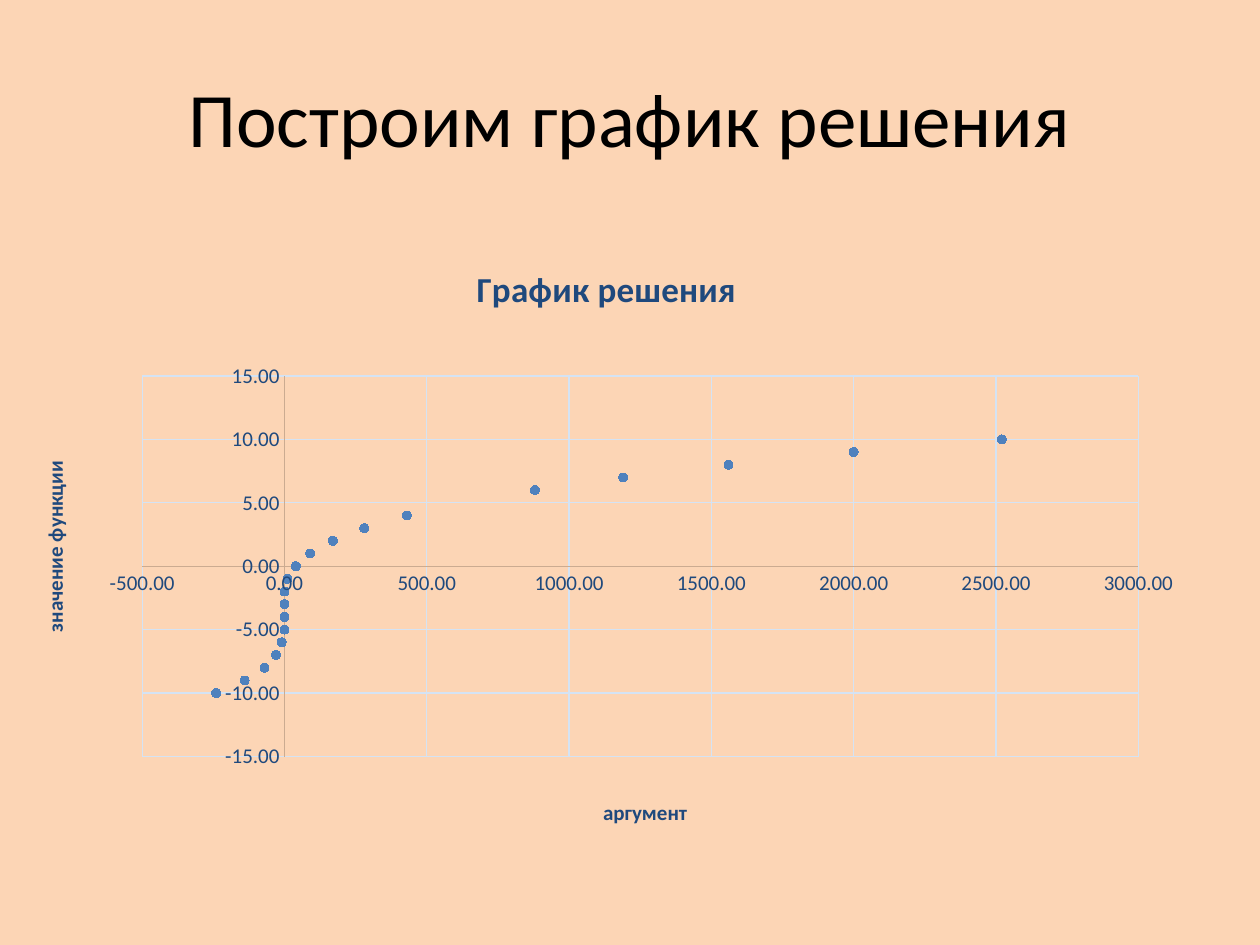
from lxml import etree
from pptx import Presentation
from pptx.chart.data import XyChartData
from pptx.dml.color import RGBColor
from pptx.enum.chart import XL_CHART_TYPE, XL_MARKER_STYLE, XL_TICK_MARK
from pptx.enum.text import MSO_ANCHOR, PP_ALIGN
from pptx.oxml.ns import qn
from pptx.util import Emu, Pt

PIXEL = 914400 // 126
FONT = "Calibri"
PEACH = RGBColor(0xFC, 0xD5, 0xB5)
BLACK = RGBColor(0, 0, 0)
NAVY = RGBColor(0x1F, 0x49, 0x7D)
BLUE = RGBColor(0x4F, 0x81, 0xBD)
PALE_BLUE = RGBColor(0xD4, 0xE3, 0xF4)
TAN = RGBColor(0xCB, 0xAB, 0x91)
SCATTER = XL_CHART_TYPE.XY_SCATTER
CIRCLE = XL_MARKER_STYLE.CIRCLE
NO_TICK = XL_TICK_MARK.NONE
CENTER = PP_ALIGN.CENTER
MIDDLE = MSO_ANCHOR.MIDDLE

CHART_BOX = (25, 220, 1172, 624)
POINTS = [
    (0, -5), (0, -2), (0, -4), (10, -1), (40, 0), (90, 1), (170, 2),
    (280, 3), (430, 4), (0, -3), (-10, -6), (880, 6), (-30, -7),
    (1190, 7), (1560, 8), (-70, -8), (2000, 9), (-140, -9),
    (2520, 10), (-240, -10),
]


def pixels(*lengths):
    """Turn pixel lengths into EMU."""
    return [Emu(length * PIXEL) for length in lengths]


def style_font(font, size, color, bold=False):
    """Set typeface, size, colour and weight."""
    font.name = FONT
    font.size = Pt(size)
    font.bold = bold
    font.color.rgb = color


def add_run(paragraph, text, size, color, bold=False):
    """Add one styled run."""
    run = paragraph.add_run()
    run.text = text
    style_font(run.font, size, color, bold)


def add_heading(slide, box, text):
    """Add the centred slide heading."""
    frame = slide.shapes.add_textbox(*pixels(*box)).text_frame
    frame.word_wrap = True
    frame.vertical_anchor = MIDDLE
    paragraph = frame.paragraphs[0]
    paragraph.alignment = CENTER
    add_run(paragraph, text, 44, BLACK)


def set_layout(parent, index, inner=False, **fractions):
    """Place a chart part by fractions of the chart area."""
    for old in parent.findall(qn("c:layout")):
        parent.remove(old)
    layout = etree.Element(qn("c:layout"))
    manual = etree.SubElement(layout, qn("c:manualLayout"))
    if inner:
        etree.SubElement(manual, qn("c:layoutTarget")).set("val", "inner")
    for side in ("x", "y"):
        etree.SubElement(manual, qn(f"c:{side}Mode")).set("val", "edge")
    for name, value in fractions.items():
        etree.SubElement(manual, qn(f"c:{name}")).set("val", str(value))
    parent.insert(index, layout)


def add_chart_title(title, text, size, x, y, rotation=0):
    """Write and place a chart or axis title."""
    add_run(title.text_frame.paragraphs[0], text, size, NAVY, True)
    body = next(title.element.iter(qn("a:bodyPr")))
    body.set("rot", str(rotation * 60000))
    body.set("vert", "horz")
    set_layout(title.element, 1, x=x, y=y)


def style_axis(axis, low, high, step):
    """Set the scale, lines and labels of an axis."""
    axis.minimum_scale, axis.maximum_scale, axis.major_unit = low, high, step
    axis.major_tick_mark = axis.minor_tick_mark = NO_TICK
    axis.has_major_gridlines = True
    for part, color in ((axis, TAN), (axis.major_gridlines, PALE_BLUE)):
        part.format.line.color.rgb = color
        part.format.line.width = Pt(0.75)
    labels = axis.tick_labels
    labels.number_format = "0.00"
    labels.number_format_is_linked = False
    style_font(labels.font, 12, NAVY)


def style_markers(series):
    """Show the series as round points without a line."""
    series.format.line.fill.background()
    series.smooth = False
    marker = series.marker
    marker.style = CIRCLE
    marker.size = 5
    marker.format.fill.solid()
    marker.format.fill.fore_color.rgb = BLUE
    marker.format.line.color.rgb = BLUE


def add_solution_chart(slide):
    """Add the scatter chart of the solution."""
    data = XyChartData()
    series = data.add_series("Series 1")
    for argument, value in POINTS:
        series.add_data_point(argument, value)
    chart = slide.shapes.add_chart(SCATTER, *pixels(*CHART_BOX), data).chart
    style_font(chart.font, 10, BLACK)
    chart.has_legend = False
    chart.has_title = True
    plot = chart.plots[0]
    plot.vary_by_categories = False
    style_markers(plot.series[0])
    style_axis(chart.category_axis, -500, 3000, 500)
    style_axis(chart.value_axis, -15, 15, 5)
    add_chart_title(chart.chart_title, "График решения", 20, 0.38, 0.06)
    add_chart_title(chart.category_axis.axis_title, "аргумент", 12, 0.49, 0.92)
    add_chart_title(chart.value_axis.axis_title, "значение функции", 12, 0.01, 0.38, -90)
    plot_area = next(chart.element.iter(qn("c:plotArea")))
    set_layout(plot_area, 0, True, x=0.1, y=0.25, w=0.85, h=0.61)


def main():
    """Build and save the slide."""
    presentation = Presentation()
    presentation.slide_width, presentation.slide_height = pixels(1260, 945)
    slide = presentation.slides.add_slide(presentation.slide_layouts[6])
    slide.background.fill.solid()
    slide.background.fill.fore_color.rgb = PEACH
    add_heading(slide, (63, 38, 1134, 157), "Построим график решения")
    add_solution_chart(slide)
    presentation.save("out.pptx")


main()
